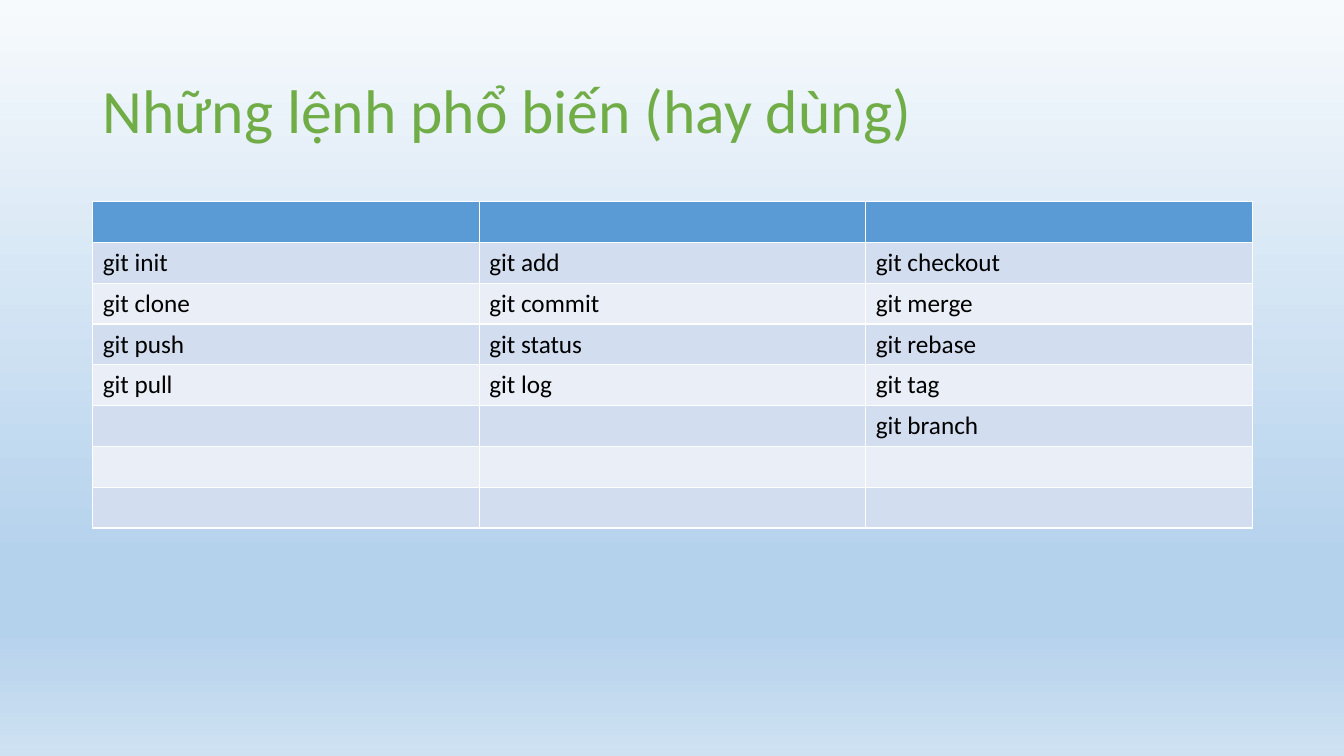
from lxml import etree
from pptx import Presentation
from pptx.dml.color import RGBColor
from pptx.enum.text import MSO_ANCHOR
from pptx.oxml.ns import qn
from pptx.util import Inches, Pt

MIDDLE = MSO_ANCHOR.MIDDLE

# Content
TITLE = "Những lệnh phổ biến (hay dùng)"
COMMAND_COLUMNS = [
    ["git init", "git clone", "git push", "git pull"],
    ["git add", "git commit", "git status", "git log"],
    ["git checkout", "git merge", "git rebase", "git tag", "git branch"],
]
ROW_COUNT = 8  # header row included

# Style
FONT = "Calibri"
COLORS = {
    "title": "70AD47",
    "text": "000000",
    "header": "5B9BD5",
    "odd": "D2DEEF",
    "even": "EAEFF7",
}
BACKGROUND_STOPS = [(0, "F7FAFD"), (74, "B5D2EC"), (83, "B5D2EC"), (100, "CEE1F2")]

# Layout
LEFT, WIDTH = 0.92, 11.5
TITLE_TOP, TITLE_HEIGHT = 0.4, 1.45
TABLE_TOP, TABLE_HEIGHT = 2, 3.24


def set_font(para, size, color):
    para.font.name = FONT
    para.font.size = Pt(size)
    para.font.color.rgb = RGBColor.from_string(COLORS[color])


def paint_background(page):
    fill = page.background.fill
    fill.gradient()
    fill.gradient_angle = 270
    stop_list = page.element.find(".//" + qn("a:gsLst"))
    for stop in list(stop_list):
        stop_list.remove(stop)
    for percent, color in BACKGROUND_STOPS:
        stop = etree.SubElement(stop_list, qn("a:gs"), pos=str(percent * 1000))
        etree.SubElement(stop, qn("a:srgbClr"), val=color)


def add_title(page):
    box = page.shapes.add_textbox(
        Inches(LEFT), Inches(TITLE_TOP), Inches(WIDTH), Inches(TITLE_HEIGHT))
    frame = box.text_frame
    frame.word_wrap = True
    frame.vertical_anchor = MIDDLE
    para = frame.paragraphs[0]
    para.text = TITLE
    para.line_spacing = 0.9
    set_font(para, 44, "title")


def add_command_table(page):
    table = page.shapes.add_table(
        ROW_COUNT, len(COMMAND_COLUMNS),
        Inches(LEFT), Inches(TABLE_TOP), Inches(WIDTH), Inches(TABLE_HEIGHT)).table
    for column, commands in enumerate(COMMAND_COLUMNS):
        for row in range(ROW_COUNT):
            cell = table.cell(row, column)
            band = "header" if row == 0 else "odd" if row % 2 else "even"
            cell.fill.solid()
            cell.fill.fore_color.rgb = RGBColor.from_string(COLORS[band])
            para = cell.text_frame.paragraphs[0]
            if 1 <= row <= len(commands):
                para.text = commands[row - 1]
            set_font(para, 18, "text")


def main():
    deck = Presentation()
    deck.slide_width, deck.slide_height = Inches(13.33), Inches(7.5)
    page = deck.slides.add_slide(deck.slide_layouts[6])
    paint_background(page)
    add_title(page)
    add_command_table(page)
    deck.save("out.pptx")


if __name__ == "__main__":
    main()
